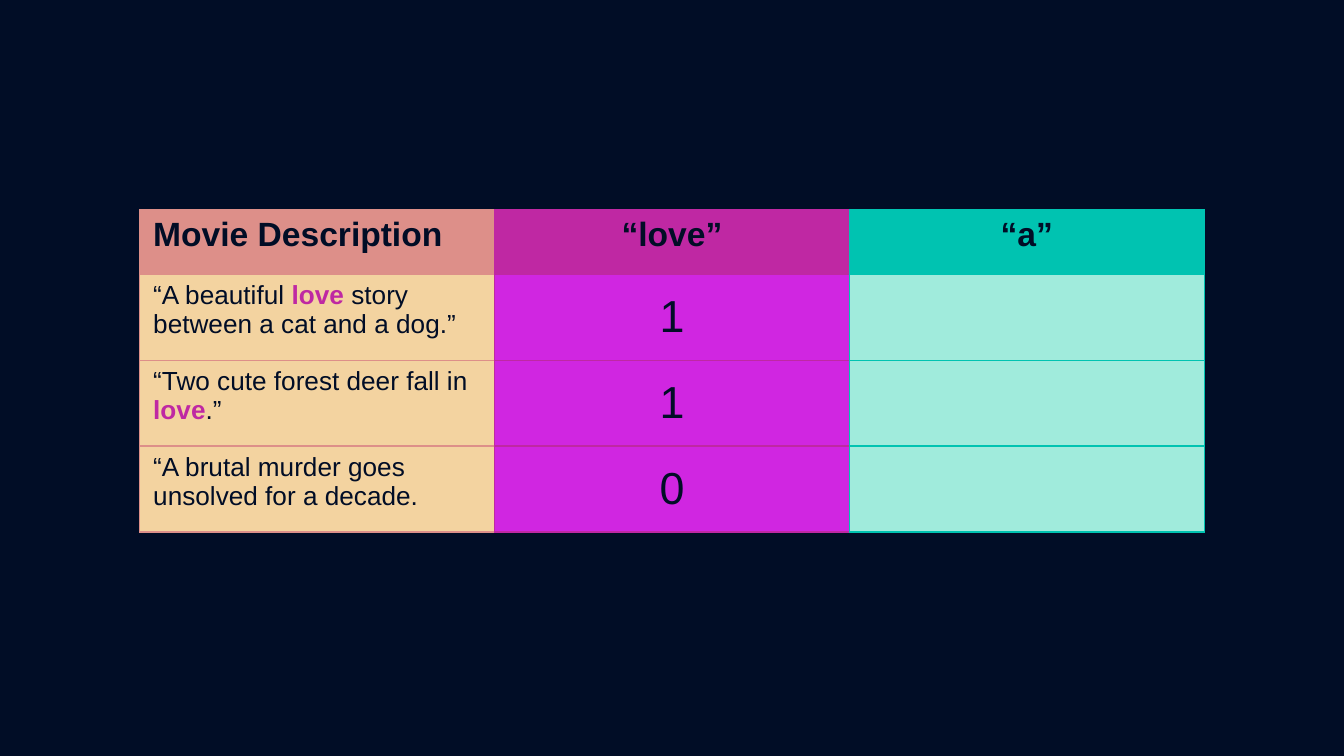
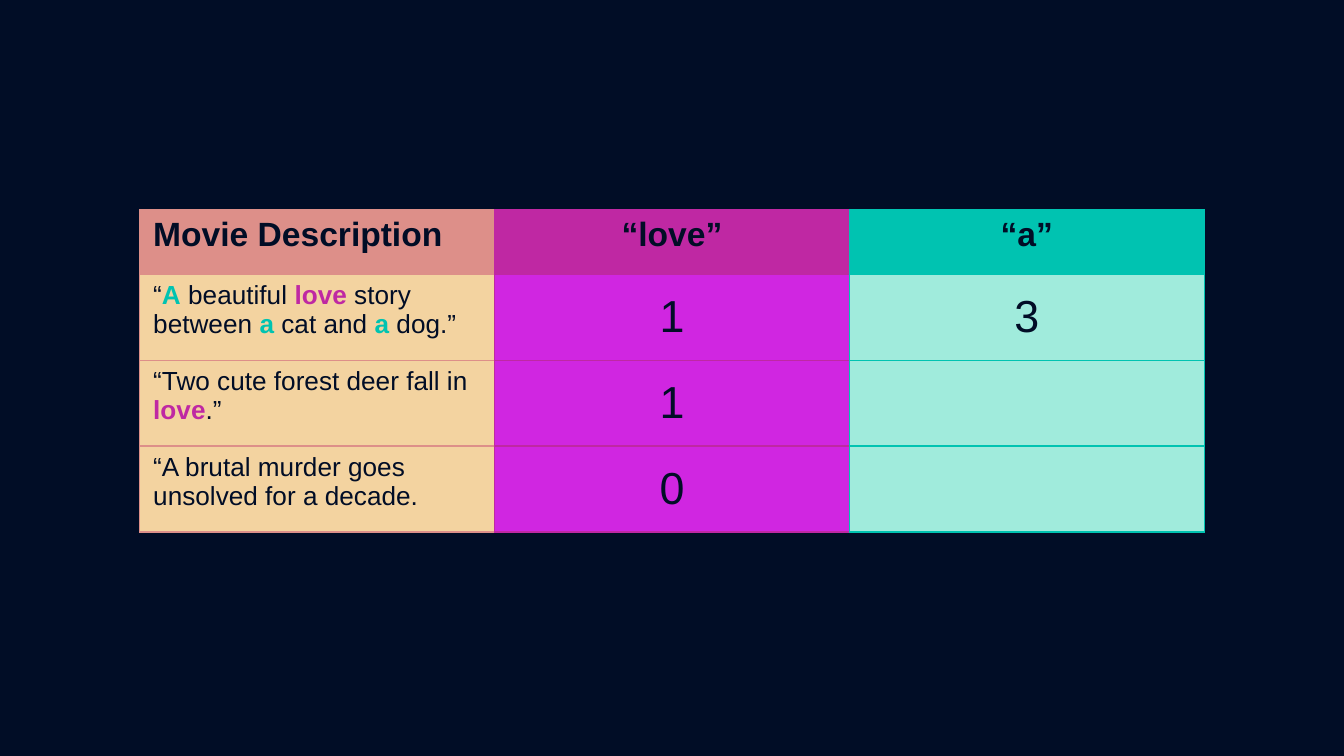
"""Build two slides that count chosen words in movie descriptions."""
from lxml import etree
from pptx import Presentation
from pptx import util as u
from pptx.dml.color import RGBColor
from pptx.enum import text
from pptx.oxml import ns

COLORS = {
    "navy": "010D26",
    "salmon": "DD8F89",
    "sand": "F3D3A0",
    "plum": "BF28A3",
    "magenta": "D026E1",
    "teal": "00C3B1",
    "mint": "A0EBDC",
}
FONT = "Arial"
SIZES = {"header": 18, "description": 14, "count": 24}
WORD_COLORS = {"love": "plum", "a": "teal"}

HEADERS = ["Movie Description", "“love”", "“a”"]
COLUMN_STYLES = [
    {"header": "salmon", "body": "sand", "right": "plum"},
    {"header": "plum", "body": "magenta", "right": "teal"},
    {"header": "teal", "body": "mint", "right": "teal"},
]
LATER_ROWS = [
    ["“Two cute forest deer fall in |love|.”", "1", ""],
    ["“A brutal murder goes unsolved for a decade.", "0", ""],
]
SLIDES = [
    [["“A beautiful |love| story between a cat and a dog.”", "1", ""]] + LATER_ROWS,
    [["“|A| beautiful |love| story between |a| cat and |a| dog.”", "1", "3"]] + LATER_ROWS,
]

SLIDE_WIDTH = 10
SLIDE_HEIGHT = SLIDE_WIDTH * 9 / 16
LEFT, TOP, FRAME_HEIGHT = 1.04, 1.56, 1.67
COLUMN_WIDTH, HEADER_HEIGHT, ROW_HEIGHT = 2.64, 0.48, 0.64
BORDER_WIDTH = 0.75


def color(name):
    return RGBColor.from_string(COLORS[name])


def set_borders(cell, style):
    properties = cell._tc.get_or_add_tcPr()
    for side in "LRTB":
        name = style["right"] if side == "R" else style["header"]
        line = etree.SubElement(properties, ns.qn("a:ln" + side), w=str(u.Pt(BORDER_WIDTH)))
        fill = etree.SubElement(line, ns.qn("a:solidFill"))
        etree.SubElement(fill, ns.qn("a:srgbClr"), val=COLORS[name])


def write_text(cell, content, kind):
    paragraph = cell.text_frame.paragraphs[0]
    for index, piece in enumerate(content.split("|")):
        highlighted = index % 2 == 1
        run = paragraph.add_run()
        run.text = piece
        run.font.name = FONT
        run.font.size = u.Pt(SIZES[kind])
        run.font.bold = highlighted or kind == "header"
        run.font.color.rgb = color(WORD_COLORS[piece.lower()] if highlighted else "navy")


def fill_cell(cell, content, row, column):
    style = COLUMN_STYLES[column]
    kind = "header" if row == 0 else "count" if column else "description"
    set_borders(cell, style)
    cell.fill.solid()
    cell.fill.fore_color.rgb = color(style["body" if row else "header"])
    if kind == "count":
        cell.vertical_anchor = text.MSO_ANCHOR.MIDDLE
    if column:
        cell.text_frame.paragraphs[0].alignment = text.PP_ALIGN.CENTER
    if content:
        write_text(cell, content, kind)


def add_count_table(slide, rows):
    frame = slide.shapes.add_table(
        len(rows), len(HEADERS), u.Inches(LEFT), u.Inches(TOP),
        u.Inches(COLUMN_WIDTH * len(HEADERS)), u.Inches(FRAME_HEIGHT))
    table = frame.table
    table.first_row = table.horz_banding = False
    for column in table.columns:
        column.width = u.Inches(COLUMN_WIDTH)
    for row, contents in enumerate(rows):
        table.rows[row].height = u.Inches(ROW_HEIGHT if row else HEADER_HEIGHT)
        for column, content in enumerate(contents):
            fill_cell(table.cell(row, column), content, row, column)
    frame.height = u.Inches(FRAME_HEIGHT)


def main():
    presentation = Presentation()
    presentation.slide_width = u.Inches(SLIDE_WIDTH)
    presentation.slide_height = u.Inches(SLIDE_HEIGHT)
    for body_rows in SLIDES:
        slide = presentation.slides.add_slide(presentation.slide_layouts[6])
        slide.background.fill.solid()
        slide.background.fill.fore_color.rgb = color("navy")
        add_count_table(slide, [HEADERS] + body_rows)
    presentation.save("out.pptx")


if __name__ == "__main__":
    main()
